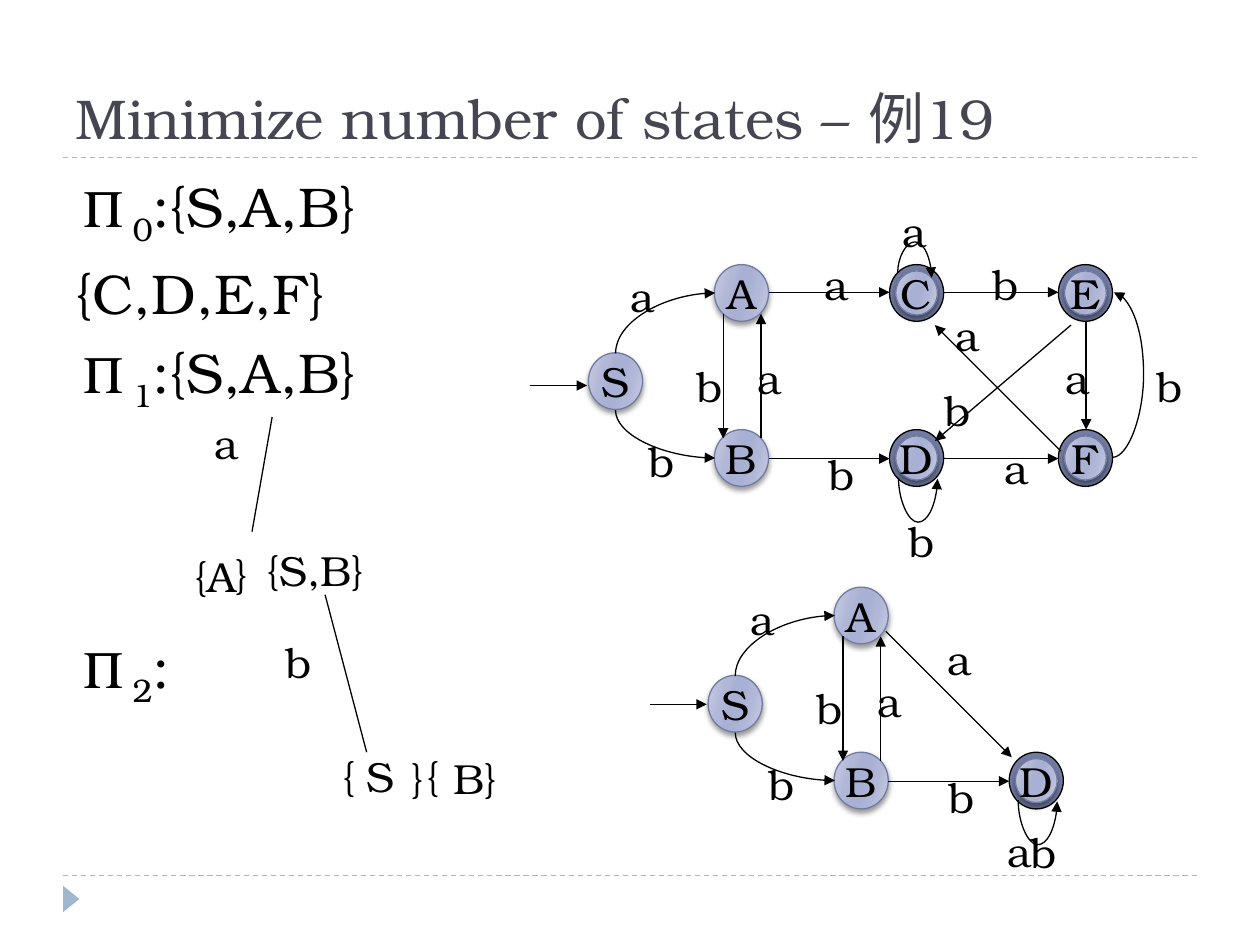
from lxml import etree
from pptx import Presentation
from pptx.dml.color import RGBColor
from pptx.enum.dml import MSO_LINE
from pptx.enum.shapes import MSO_CONNECTOR, MSO_SHAPE
from pptx.enum.text import MSO_ANCHOR, PP_ALIGN
from pptx.oxml import parse_xml
from pptx.oxml.ns import nsdecls, qn
from pptx.util import Inches, Pt

BLACK = RGBColor(0x00, 0x00, 0x00)
SLATE = RGBColor(0x46, 0x46, 0x53)
PALE = RGBColor(0x9F, 0xB8, 0xCD)
RING = RGBColor(0x72, 0x7C, 0xA3)
STOPS = ((0, "C9CDE2"), (30, "B1B7D7"), (45, "A8B0D3"),
         (55, "A8B0D3"), (73, "B1B7D7"), (100, "C9CDE2"))
FONT = "TeX Gyre Bonum"
STRAIGHT, CURVE = MSO_CONNECTOR.STRAIGHT, MSO_CONNECTOR.CURVE
MIDDLE, BOTTOM = MSO_ANCHOR.MIDDLE, MSO_ANCHOR.BOTTOM
CENTER, LEFT = PP_ALIGN.CENTER, PP_ALIGN.LEFT
OVAL, TRIANGLE = MSO_SHAPE.OVAL, MSO_SHAPE.ISOSCELES_TRIANGLE
DASH = MSO_LINE.DASH

prs = Presentation()
prs.slide_width, prs.slide_height = Inches(10), Inches(7.5)
slide = prs.slides.add_slide(prs.slide_layouts[5])
shapes = slide.shapes


def label(shape, text):
    """Centre black 24 pt text in a shape."""
    frame = shape.text_frame
    frame.word_wrap = False
    frame.vertical_anchor = MIDDLE
    frame.text = text
    para = frame.paragraphs[0]
    para.alignment = CENTER
    font = para.runs[0].font
    font.name, font.size, font.color.rgb = FONT, Pt(24), BLACK


def line(kind, ends, color=BLACK, head=True):
    """Draw a thin connector between (x1, y1, x2, y2), in inches."""
    link = shapes.add_connector(kind, *[Inches(v) for v in ends])
    link.line.color.rgb = color
    link.line.width = Pt(0.75)
    if head:
        etree.SubElement(link.line._get_or_add_ln(), qn("a:tailEnd"), type="triangle")
    etree.SubElement(link._element.spPr, qn("a:effectLst"))
    return link


# Rules and page mark
for y in (6.95, 1.25):
    line(STRAIGHT, (0.5, y, 9.5, y), PALE, False).line.dash_style = DASH
mark = shapes.add_shape(TRIANGLE, Inches(0.46), Inches(7.07), Inches(0.21), Inches(0.13))
mark.rotation = 90
mark.shadow.inherit = False
mark.fill.solid()
mark.fill.fore_color.rgb = PALE
mark.line.fill.background()

# Title
title = shapes.title
title.left, title.top, title.width, title.height = [Inches(v) for v in (0.5, 0.17, 9, 1.08)]
title.text_frame.text = "Minimize number of states – 例19"
title.text_frame.vertical_anchor = BOTTOM
para = title.text_frame.paragraphs[0]
para.alignment = LEFT
font = para.runs[0].font
font.name, font.size, font.color.rgb = FONT, Pt(32), SLATE

# Partitions: symbol, subscript, rest, space before
body = shapes.add_textbox(Inches(0.51), Inches(1.31), Inches(9.07), Inches(5.52)).text_frame
body.word_wrap = True
parts = (("∏", "0", ":{S,A,B}", 0), ("", "", "{C,D,E,F}", 6.4),
         ("∏", "1", ":{S,A,B}", 6.4), ("∏", "2", ":", 125))
for i, (sign, sub, rest, gap) in enumerate(parts):
    para = body.add_paragraph() if i else body.paragraphs[0]
    para.space_before = Pt(gap)
    for text in filter(None, (sign, sub, rest)):
        run = para.add_run()
        run.text = text
        run.font.name, run.font.size, run.font.color.rgb = FONT, Pt(32), BLACK
        if text == sub:
            run.font._element.set("baseline", "-25000")

# Both automata share S, A, B and D; the second is the first one moved
states = [("C", 7.06, 2.1, True), ("E", 8.4, 2.1, True), ("F", 8.4, 3.41, True)]
arrows = [(6.1, 2.32, 7.06, 2.32), (7.49, 3.64, 8.4, 3.64), (7.49, 2.32, 8.4, 2.32),
          (8.62, 2.55, 8.62, 3.41), (8.42, 3.58, 7.42, 2.58), (8.5, 2.58, 7.42, 3.5),
          (7.03, 5.01, 8.03, 6.01), (4.21, 3.06, 4.66, 3.06), (5.16, 5.59, 5.61, 5.59)]
# left, top, width, height, rotation, flip, preset, bend
curves = [(8.83, 2.32, 0.01, 1.31, 0, "flipV", 3, 25),
          (7.24, 2.05, 0.04, 0.27, 90, "flipV", 3, -6.09)]
labels = [("b", 9.08, 2.81), ("a", 6.44, 2), ("a", 7.48, 2.41), ("a", 8.35, 2.75),
          ("a", 7.87, 3.46), ("b", 7.4, 3), ("b", 7.78, 2), ("b", 7.11, 4.04),
          ("a", 7.06, 1.58), ("a", 7.42, 4.98), ("b", 8.08, 6.51), ("a", 7.89, 6.5)]
for dx, dy in ((0, 0), (0.95, 2.56)):
    for name, x, y, final in (("D", 7.06, 3.41, True), ("B", 5.67, 3.41, False),
                              ("A", 5.67, 2.1, False), ("S", 4.67, 2.8, False)):
        states.append((name, x + dx, y + dy, final))
    for x1, y1, x2, y2 in ((6.04, 3.48, 6.04, 2.49), (5.74, 2.49, 5.74, 3.48),
                           (6.1, 3.64, 7.06, 3.64)):
        arrows.append((x1 + dx, y1 + dy, x2 + dx, y2 + dy))
    for x, y, *bend in ((5.04, 2.17, 0.48, 0.79, 270, None, 2, None),
                        (5.09, 3.05, 0.38, 0.79, 270, "flipH", 2, None),
                        (7.28, 3.64, 0.01, 0.31, 270, "flipH", 3, 36)):
        curves.append((x + dx, y + dy, *bend))
    for text, x, y in (("a", 4.9, 2.1), ("a", 5.91, 2.75), ("b", 5.05, 3.41),
                       ("b", 5.43, 2.81), ("b", 6.48, 3.51)):
        labels.append((text, x + dx, y + dy))

stops = "".join(f'<a:gs pos="{pos * 1000}"><a:srgbClr val="{color}"/></a:gs>'
                for pos, color in STOPS)
GRADIENT = (f'<a:gradFill {nsdecls("a")} rotWithShape="1"><a:gsLst>{stops}</a:gsLst>'
            '<a:lin ang="960000" scaled="0"/></a:gradFill>')
SHADOW = (f'<a:effectLst {nsdecls("a")}><a:outerShdw blurRad="38100" dist="25400" '
          'dir="5400000" rotWithShape="0"><a:srgbClr val="000000">'
          '<a:alpha val="40000"/></a:srgbClr></a:outerShdw></a:effectLst>')
for name, x, y, final in states:
    inset = 0
    if final:
        ring = shapes.add_shape(OVAL, Inches(x), Inches(y), Inches(0.43), Inches(0.45))
        ring.shadow.inherit = False
        ring.fill.solid()
        ring.fill.fore_color.rgb = RING
        ring.line.color.rgb = BLACK
        ring.line.width = Pt(0.75)
        inset = 0.05
    disc = shapes.add_shape(OVAL, Inches(x + inset), Inches(y + inset),
                            Inches(0.43 - 2 * inset), Inches(0.45 - 2 * inset))
    disc.line.color.rgb = RING
    disc.line.width = Pt(0.75)
    props = disc._element.spPr
    props.find(qn("a:prstGeom")).addnext(parse_xml(GRADIENT))
    props.append(parse_xml(SHADOW))
    label(disc, name)

for ends in arrows:
    line(STRAIGHT, ends)
for ends in ((2, 4.22, 2.16, 3.31), (2.91, 5.97, 2.58, 4.72)):
    line(STRAIGHT, ends, head=False)

for x, y, w, h, turn, flip, preset, bend in curves:
    props = line(CURVE, (x, y, x + w, y + h))._element.spPr
    frame = props.find(qn("a:xfrm"))
    frame.set("rot", str(turn * 60000))
    if flip:
        frame.set(flip, "1")
    geom = props.find(qn("a:prstGeom"))
    geom.set("prst", f"curvedConnector{preset}")
    if bend:
        guides = geom.find(qn("a:avLst"))
        if guides is None:
            guides = etree.SubElement(geom, qn("a:avLst"))
        etree.SubElement(guides, qn("a:gd"), name="adj1", fmla=f"val {round(bend * 100000)}")

# Edge labels, then the splits of the partitions
labels += [("a", 1.6, 3.26), ("b", 2.17, 5)]
splits = (("{S,B}", 2.02, 4.27, 0.97), ("}", 1.77, 4.3, 0.25), ("{A", 1.38, 4.32, 0.67),
          ("B", 3.5, 5.92, 0.33), ("{", 3.29, 5.91, 0.3), ("{", 2.62, 5.91, 0.3),
          ("S", 2.81, 5.91, 0.42), ("}", 3.75, 5.92, 0.25), ("}", 3.17, 5.92, 0.25))
for text, x, y, w in [(*item, 0.4) for item in labels] + list(splits):
    label(shapes.add_textbox(Inches(x), Inches(y), Inches(w), Inches(0.5)), text)

prs.save("out.pptx")
